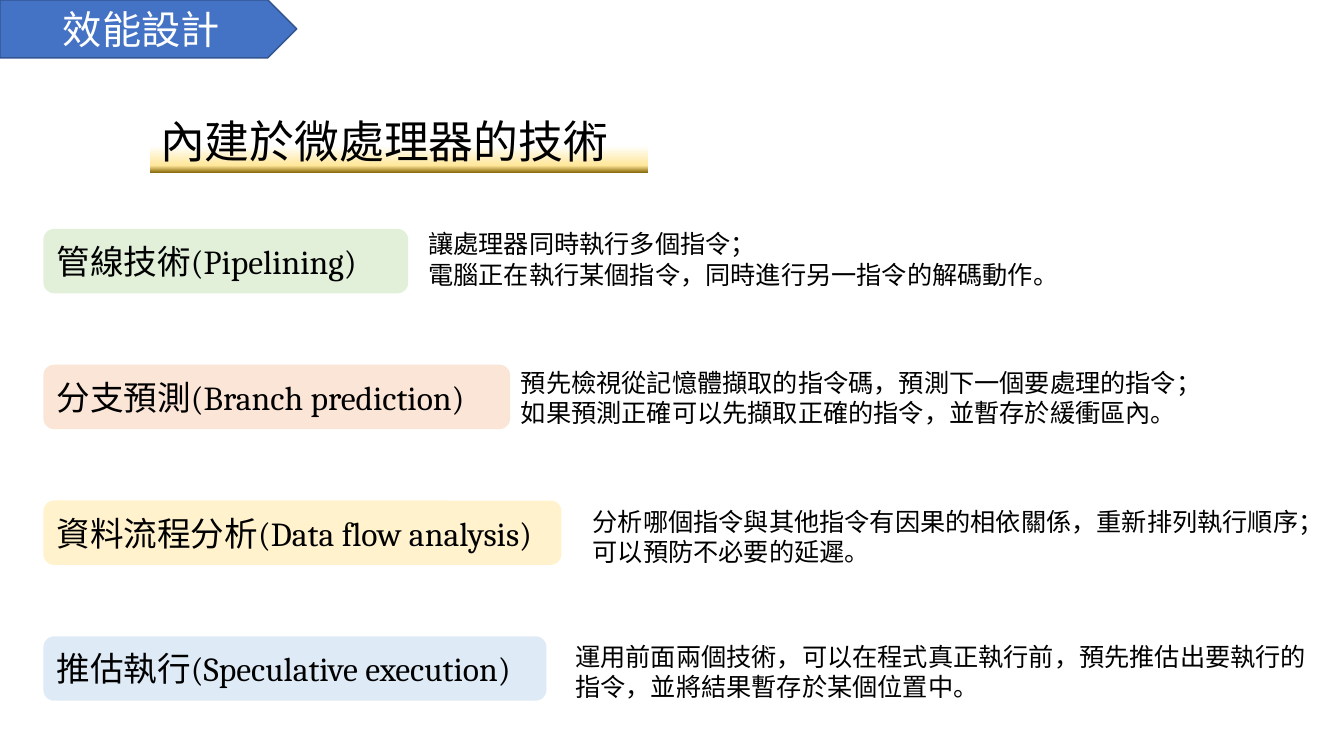
"""Build the slide on techniques built into microprocessors."""
from copy import deepcopy

from lxml.etree import SubElement
from pptx import Presentation
from pptx.dml.color import RGBColor
from pptx.enum.shapes import MSO_SHAPE as SHAPE
from pptx.enum.text import MSO_ANCHOR as ANCHOR, MSO_AUTO_SIZE as AUTO, PP_ALIGN as ALIGN
from pptx.oxml.ns import qn
from pptx.util import Pt

SANS = "Noto Sans CJK SC"
SERIF = "Cambria"

TECHNIQUES = [
    ("管線技術(Pipelining)", "E2F0D9", 260.6, (298.8, 159.8, 468.7), False,
     ["讓處理器同時執行多個指令；",
      "電腦正在執行某個指令，同時進行另一指令的解碼動作。"]),
    ("分支預測(Branch prediction)", "FBE5D6", 333.4, (365, 258.5, 505.4), False,
     ["預先檢視從記憶體擷取的指令碼，預測下一個要處理的指令；",
      "如果預測正確可以先擷取正確的指令，並暫存於緩衝區內。"]),
    ("資料流程分析(Data flow analysis)", "FFF2CC", 370, (416.2, 357.8, 541.4), True,
     ["分析哪個指令與其他指令有因果的相依關係，重新排列執行順序；",
      "可以預防不必要的延遲。"]),
    ("推估執行(Speculative execution)", "DEEBF7", 359.3, (403.9, 454.3, 541.4), True,
     ["運用前面兩個技術，可以在程式真正執行前，預先推估出要執行的指令，並將結果暫存於某個位置中。"]),
]


def rgb(value):
    return RGBColor.from_string(value)


class Deck:
    """Holds the text style and the current slide."""

    def __init__(self):
        self.prs = Presentation()
        self.prs.slide_width, self.prs.slide_height = Pt(960), Pt(540)
        self.s = self.prs.slides.add_slide(self.prs.slide_layouts[6])
        self.color = "000000"

    def text(self, sp, lines, size, font=SANS, color=None, align=ALIGN.LEFT,
             anchor=ANCHOR.TOP, wrap=True):
        tf = sp.text_frame
        tf.word_wrap = wrap
        tf.vertical_anchor = anchor
        tf.text = "\n".join(lines)
        for p in tf.paragraphs:
            p.alignment = align
            p.font.size = Pt(size)
            p.font.name = font
            p.font.color.rgb = rgb(color or self.color)
            props = p._p.pPr.find(qn("a:defRPr"))
            SubElement(props, qn("a:ea"), typeface=SANS)
        return tf

    def shape(self, kind, x, y, w, h, fill=None, line=None):
        sp = self.s.shapes.add_shape(kind, Pt(x), Pt(y), Pt(w), Pt(h))
        sp.shadow.inherit = False
        if fill:
            sp.fill.solid()
            sp.fill.fore_color.rgb = rgb(fill)
        if line:
            sp.line.color.rgb = rgb(line)
            sp.line.width = Pt(1)
        else:
            sp.line.fill.background()
        return sp

    def banner(self, text):
        sp = self.shape(SHAPE.PENTAGON, 0, 0, 212, 41.3, "4472C4", "325491")
        self.text(sp, [text], 28, color="FFFFFF", align=ALIGN.CENTER, anchor=ANCHOR.MIDDLE)

    def heading(self, text, stops):
        sp = self.shape(SHAPE.RECTANGLE, 107.3, 77.8, 355.7, 46)
        sp.fill.gradient()
        sp.fill.gradient_angle = 90
        first = sp.fill.gradient_stops[0]._gs
        first.addnext(deepcopy(first))
        for stop, (position, color) in zip(sp.fill.gradient_stops, stops):
            stop.position = position
            stop.color.rgb = rgb(color)
        self.text(sp, [text], 32).auto_size = AUTO.SHAPE_TO_FIT_TEXT

    def label(self, text, fill, y, w):
        sp = self.shape(SHAPE.ROUNDED_RECTANGLE, 31, y, w, 46, fill)
        self.text(sp, [text], 24, SERIF, anchor=ANCHOR.MIDDLE)

    def note(self, lines, x, y, w, wrap):
        sp = self.s.shapes.add_textbox(Pt(x), Pt(y), Pt(w), Pt(51))
        self.text(sp, lines, 18, wrap=wrap).auto_size = AUTO.SHAPE_TO_FIT_TEXT


def main():
    deck = Deck()
    deck.banner("效能設計")
    deck.heading("內建於微處理器的技術",
                 [(0, "806000"), (0.12, "FFE699"), (0.43, "FFFFFF")])
    for i, (name, fill, width, (x, y, w), wrap, lines) in enumerate(TECHNIQUES):
        deck.label(name, fill, 163.5 + 97 * i, width)
        deck.note(lines, x, y, w, wrap)
    deck.prs.save("out.pptx")


if __name__ == "__main__":
    main()
